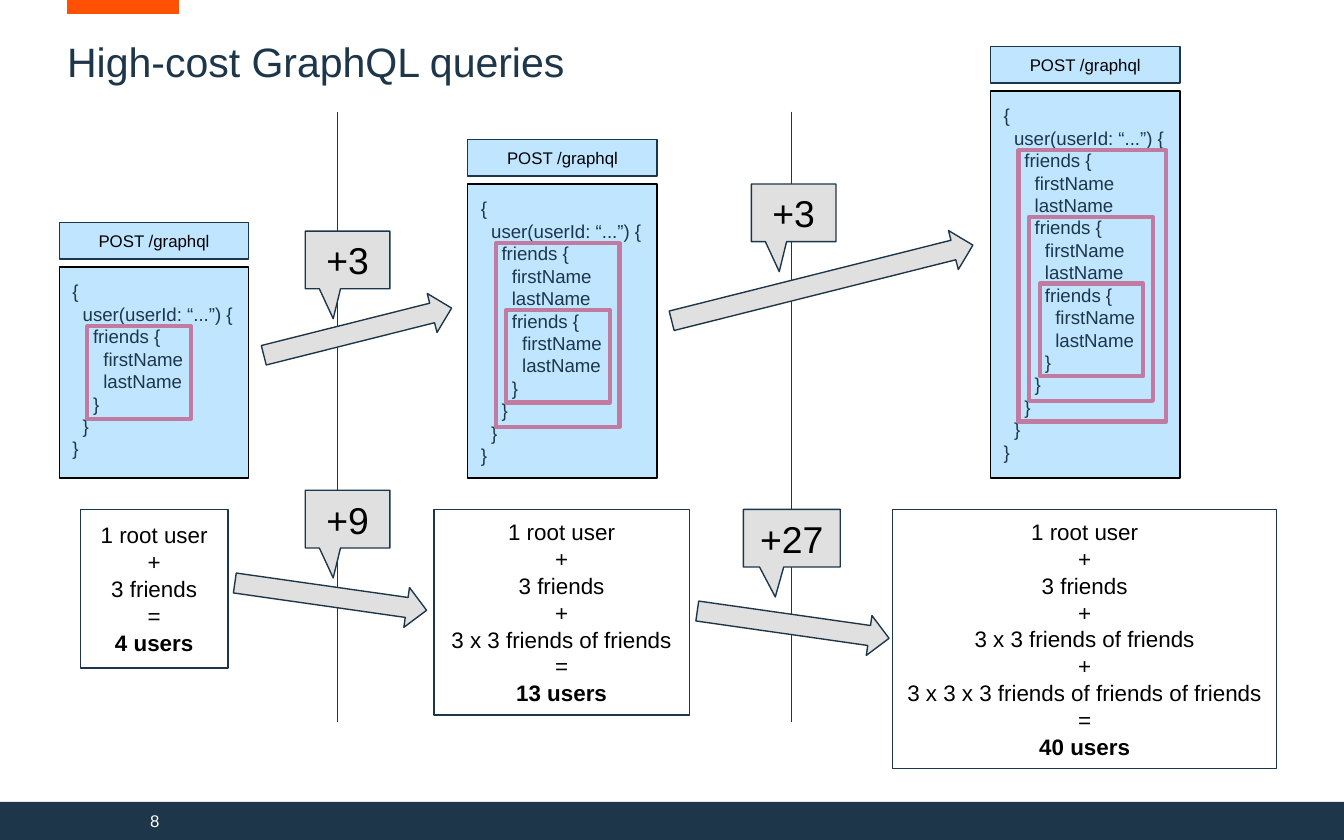
from lxml import etree
from pptx import Presentation
from pptx import util as u
from pptx.dml.color import RGBColor
from pptx.enum import shapes, text
from pptx.oxml.ns import qn

NAVY, SKY, GREY, PINK = "1D3649", "C0E6FF", "E0E0E0", "C27BA0"
BLACK, WHITE, ORANGE = "000000", "FFFFFF", "FF5004"

TITLE = "High-cost GraphQL queries"
REQUEST = "POST /graphql"
PAGE_NUMBER = "8"

# Nesting depth, left and height of each query panel
QUERIES = [(1, 1.12, 3.99), (2, 8.84, 5.56), (3, 18.72, 7.32)]
QUERY_WIDTH, QUERY_BOTTOM = 3.58, 9.04

# Left, width, height, terms of the sum, total
RESULTS = [
    (1.52, 2.79, 3.0, ["1 root user", "3 friends"], "4 users"),
    (8.2, 4.83, 3.89,
     ["1 root user", "3 friends", "3 x 3 friends of friends"], "13 users"),
    (16.87, 7.26, 4.9,
     ["1 root user", "3 friends", "3 x 3 friends of friends",
      "3 x 3 x 3 friends of friends of friends"], "40 users"),
]
RESULT_TOP = 9.63

DIVIDERS = [6.38, 14.96]

# Centre x, centre y, length, rotation
ARROWS = [(6.76, 6.27, 3.66, 75.9), (15.54, 5.35, 5.87, 75.9),
          (6.25, 11.28, 3.66, 98.1), (14.99, 11.81, 3.66, 98.1)]
ARROW_WIDTH = 0.76

# Text, left, top, width
CALLOUTS = [("+9", 5.77, 9.27, 1.6), ("+27", 14.05, 9.63, 1.83),
            ("+3", 5.77, 4.37, 1.6), ("+3", 14.2, 3.48, 1.6)]

# Frame sizes, by number of friends levels enclosed
FRAME_SIZES = {1: (1.96, 1.75), 2: (2.34, 3.48), 3: (2.79, 5.13)}

deck = Presentation()
deck.slide_width, deck.slide_height = u.Cm(25.4), u.Cm(15.88)
page = deck.slides.add_slide(deck.slide_layouts[6])


def color(value):
    return RGBColor.from_string(value)


def add_box(kind, left, top, width, height, fill=None, line=None, weight=0.75):
    box = page.shapes.add_shape(kind, *map(u.Cm, (left, top, width, height)))
    box.shadow.inherit = False
    if fill:
        box.fill.solid()
        box.fill.fore_color.rgb = color(fill)
    else:
        box.fill.background()
    if line:
        box.line.color.rgb = color(line)
        box.line.width = u.Pt(weight)
    else:
        box.line.fill.background()
    return box


def add_line(x1, y1, x2, y2, line, weight):
    connector = page.shapes.add_connector(
        shapes.MSO_CONNECTOR.STRAIGHT, *map(u.Cm, (x1, y1, x2, y2)))
    connector.line.color.rgb = color(line)
    connector.line.width = u.Pt(weight)
    etree.SubElement(connector._element.spPr, qn("a:effectLst"))


def write(box, lines, size, ink, align=text.PP_ALIGN.CENTER,
          anchor=text.MSO_ANCHOR.MIDDLE, insets=(0, 0, 0, 0),
          spacing=1.0, bold_last=False):
    """Fill a box with one paragraph per line; insets are left, top, right, bottom."""
    frame = box.text_frame
    frame.word_wrap = True
    frame.vertical_anchor = anchor
    (frame.margin_left, frame.margin_top,
     frame.margin_right, frame.margin_bottom) = map(u.Cm, insets)
    for index, line in enumerate(lines):
        para = frame.paragraphs[0] if index == 0 else frame.add_paragraph()
        para.alignment = align
        para.line_spacing = spacing
        span = para.add_run()
        span.text = line
        span.font.name = "Arial"
        span.font.size = u.Pt(size)
        span.font.color.rgb = color(ink)
        span.font.bold = bold_last and index == len(lines) - 1


def add_text(left, top, width, height, line, size, ink, anchor, spacing):
    box = page.shapes.add_textbox(*map(u.Cm, (left, top, width, height)))
    write(box, [line], size, ink, text.PP_ALIGN.LEFT, anchor, spacing=spacing)


def query_lines(depth):
    """Return the query text with friends nested to the given depth."""
    lines = ["{", "  user(userId: “...”) {"]
    for level in range(2, depth + 2):
        indent = "  " * level
        lines += [indent + "friends {", indent + "  firstName", indent + "  lastName"]
    return lines + ["  " * level + "}" for level in range(depth + 1, -1, -1)]


def sum_lines(terms, total):
    lines = [terms[0]]
    for term in terms[1:]:
        lines += ["+", term]
    return lines + ["=", total]


RECT = shapes.MSO_SHAPE.RECTANGLE

add_line(1.27, 0.13, 3.38, 0.13, ORANGE, 8)
add_box(RECT, 0, 15.16, 25.4, 0.72, NAVY)
add_text(2.84, 15.21, 1, 0.51, PAGE_NUMBER, 9, WHITE, text.MSO_ANCHOR.BOTTOM, 0.9)
add_text(1.27, 0.64, 22.86, 0.97, TITLE, 22, NAVY, text.MSO_ANCHOR.TOP, 1.05)

for depth, left, height in QUERIES:
    top = QUERY_BOTTOM - height
    panel = add_box(RECT, left, top, QUERY_WIDTH, height, SKY, BLACK)
    write(panel, query_lines(depth), 10, NAVY, text.PP_ALIGN.LEFT,
          text.MSO_ANCHOR.TOP, (0.25, 0.25, 0, 0.25))
    label = add_box(RECT, left, top - 0.84, QUERY_WIDTH, 0.69, SKY, NAVY)
    write(label, [REQUEST], 9, BLACK)

for left, width, height, terms, total in RESULTS:
    result = add_box(RECT, left, RESULT_TOP, width, height, line=NAVY)
    write(result, sum_lines(terms, total), 12, BLACK, bold_last=True)

for x in DIVIDERS:
    add_line(x, 2.11, x, 13.64, NAVY, 0.75)

for x, y, length, angle in ARROWS:
    arrow = add_box(shapes.MSO_SHAPE.UP_ARROW, x - ARROW_WIDTH / 2, y - length / 2,
                    ARROW_WIDTH, length, GREY, NAVY)
    arrow.rotation = angle

for label, left, top, width in CALLOUTS:
    callout = add_box(shapes.MSO_SHAPE.RECTANGULAR_CALLOUT,
                      left, top, width, 1.09, GREY, NAVY)
    callout.adjustments[0], callout.adjustments[1] = -0.17, 1.02
    write(callout, [label], 20, BLACK)

for depth, left, height in QUERIES:
    for level in range(depth):
        add_box(RECT, left + 0.53 + 0.2 * level,
                QUERY_BOTTOM - height + 1.12 + 1.26 * level,
                *FRAME_SIZES[depth - level], line=PINK, weight=2.25)

deck.save("out.pptx")
